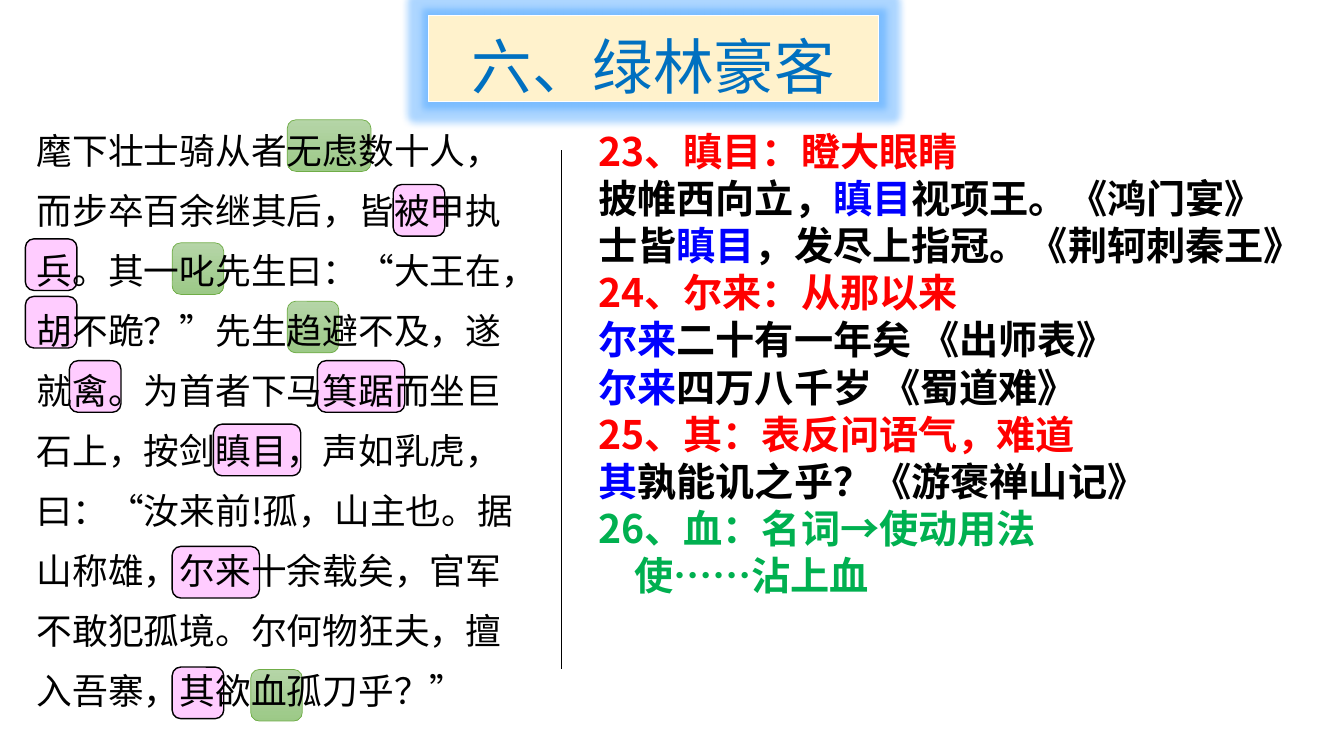
"""Build the classical Chinese reading slide with its vocabulary notes."""
from lxml import etree
from pptx import Presentation
from pptx.dml.color import RGBColor
from pptx.enum import shapes, text
from pptx.oxml import ns
from pptx.util import Cm, Pt

BLACK = RGBColor(0x00, 0x00, 0x00)
WHITE = RGBColor(0xFF, 0xFF, 0xFF)
RED = RGBColor(0xFF, 0x00, 0x00)
BLUE = RGBColor(0x00, 0x00, 0xFF)
GREEN = RGBColor(0x00, 0xB0, 0x50)
TITLE_BLUE = RGBColor(0x00, 0x70, 0xC0)
CREAM = RGBColor(0xFF, 0xF2, 0xCC)
PINK = RGBColor(0xFF, 0xCC, 0xFF)
LEAF_LIGHT = RGBColor(0xB5, 0xD5, 0xA7)
LEAF_DARK = RGBColor(0x9C, 0xC9, 0x87)
LEAF_EDGE = RGBColor(0x70, 0xAD, 0x47)
FONT = "Noto Sans CJK SC"


def add_run(p, words, size, color, bold=False):
    r = p.add_run()
    r.text = words
    r.font.size = Pt(size)
    r.font.bold = bold
    r.font.color.rgb = color
    r.font.name = FONT
    ea = etree.SubElement(r.font._element, ns.qn("a:ea"))
    ea.set("typeface", FONT)


def add_box(kind, left, top, width, height, edge, edge_width):
    sp = s.shapes.add_shape(kind, Cm(left), Cm(top), Cm(width), Cm(height))
    sp.shadow.inherit = False
    sp.line.color.rgb = edge
    sp.line.width = Pt(edge_width)
    return sp


prs = Presentation()
prs.slide_width, prs.slide_height = Cm(33.87), Cm(19.05)
s = prs.slides.add_slide(prs.slide_layouts[6])

ONE, TWO = 1.3, 2.2
pink_marks = [
    (4.34, 16.81, ONE), (4.34, 13.77, TWO), (5.38, 10.69, TWO),
    (8, 9.09, TWO), (1.75, 9.09, ONE), (0.64, 7.47, ONE),
    (0.64, 6.02, ONE), (9.91, 4.65, ONE),
]
green_marks = [
    (6.32, 16.87, ONE), (7.24, 7.59, ONE), (4.34, 6.12, ONE), (7.24, 3.02, 2.11),
]
ROUNDED = shapes.MSO_SHAPE.ROUNDED_RECTANGLE
for left, top, width in pink_marks:
    sp = add_box(ROUNDED, left, top, width, ONE, BLACK, 1)
    sp.fill.solid()
    sp.fill.fore_color.rgb = PINK
for left, top, width in green_marks:
    sp = add_box(ROUNDED, left, top, width, ONE, LEAF_EDGE, 0.5)
    sp.fill.gradient()
    sp.fill.gradient_angle = 270
    for stop, color in zip(sp.fill.gradient_stops, (LEAF_LIGHT, LEAF_DARK)):
        stop.color.rgb = color

title = add_box(shapes.MSO_SHAPE.RECTANGLE, 10.8, 0.38, 11.33, 2.18, WHITE, 0.5)
title.fill.solid()
title.fill.fore_color.rgb = CREAM
effects = title._element.spPr.find(ns.qn("a:effectLst"))
glow = etree.SubElement(effects, ns.qn("a:glow"), rad=str(Cm(0.35)))
glow_color = etree.SubElement(glow, ns.qn("a:srgbClr"), val="3399FF")
etree.SubElement(glow_color, ns.qn("a:alpha"), val="40000")
tf = title.text_frame
tf.vertical_anchor = text.MSO_ANCHOR.MIDDLE
p = tf.paragraphs[0]
p.alignment = text.PP_ALIGN.CENTER
p.line_spacing = 1.2
add_run(p, "六、绿林豪客", 43.2, TITLE_BLUE)

passage = s.shapes.add_textbox(Cm(0.03), Cm(2.69), Cm(13.67), Cm(16.36))
tf = passage.text_frame
tf.word_wrap = True
tf.margin_left = Cm(0.89)
p = tf.paragraphs[0]
p.line_spacing = Pt(42.85)
add_run(
    p,
    "麾下壮士骑从者无虑数十人，而步卒百余继其后，皆被甲执兵。"
    "其一叱先生曰：“大王在，胡不跪？”先生趋避不及，遂就禽。"
    "为首者下马箕踞而坐巨石上，按剑瞋目，声如乳虎，"
    "曰：“汝来前!孤，山主也。据山称雄，尔来十余载矣，官军不敢犯孤境。"
    "尔何物狂夫，擅入吾寨，其欲血孤刀乎？”",
    25.5, BLACK)

divider = s.shapes.add_connector(
    shapes.MSO_CONNECTOR.STRAIGHT, Cm(14.15), Cm(3.79), Cm(14.15), Cm(16.87))
divider.line.color.rgb = BLACK
divider.line.width = Pt(0.5)
etree.SubElement(divider._element.spPr, ns.qn("a:effectLst"))

notes = [
    [("23、瞋目：瞪大眼睛", RED)],
    [("披帷西向立，", BLACK), ("瞋目", BLUE), ("视项王。《鸿门宴》", BLACK)],
    [("士皆", BLACK), ("瞋目", BLUE), ("，发尽上指冠。《荆轲刺秦王》", BLACK)],
    [("24、尔来：从那以来", RED)],
    [("尔来", BLUE), ("二十有一年矣 《出师表》", BLACK)],
    [("尔来", BLUE), ("四万八千岁 《蜀道难》", BLACK)],
    [("25、其：表反问语气，难道", RED)],
    [("其", BLUE), ("孰能讥之乎？《游褒禅山记》", BLACK)],
    [("26、血：名词→使动用法", GREEN)],
    [("使……沾上血", GREEN)],
]
vocabulary = s.shapes.add_textbox(Cm(14.83), Cm(3.07), Cm(18.69), Cm(12.22))
tf = vocabulary.text_frame
tf.word_wrap = True
for i, note in enumerate(notes):
    p = tf.add_paragraph() if i else tf.paragraphs[0]
    p.line_spacing = Pt(33.7)
    for words, color in note:
        add_run(p, words, 28, color, bold=True)
p._p.get_or_add_pPr().set("marL", str(Cm(0.9)))

prs.save("out.pptx")
